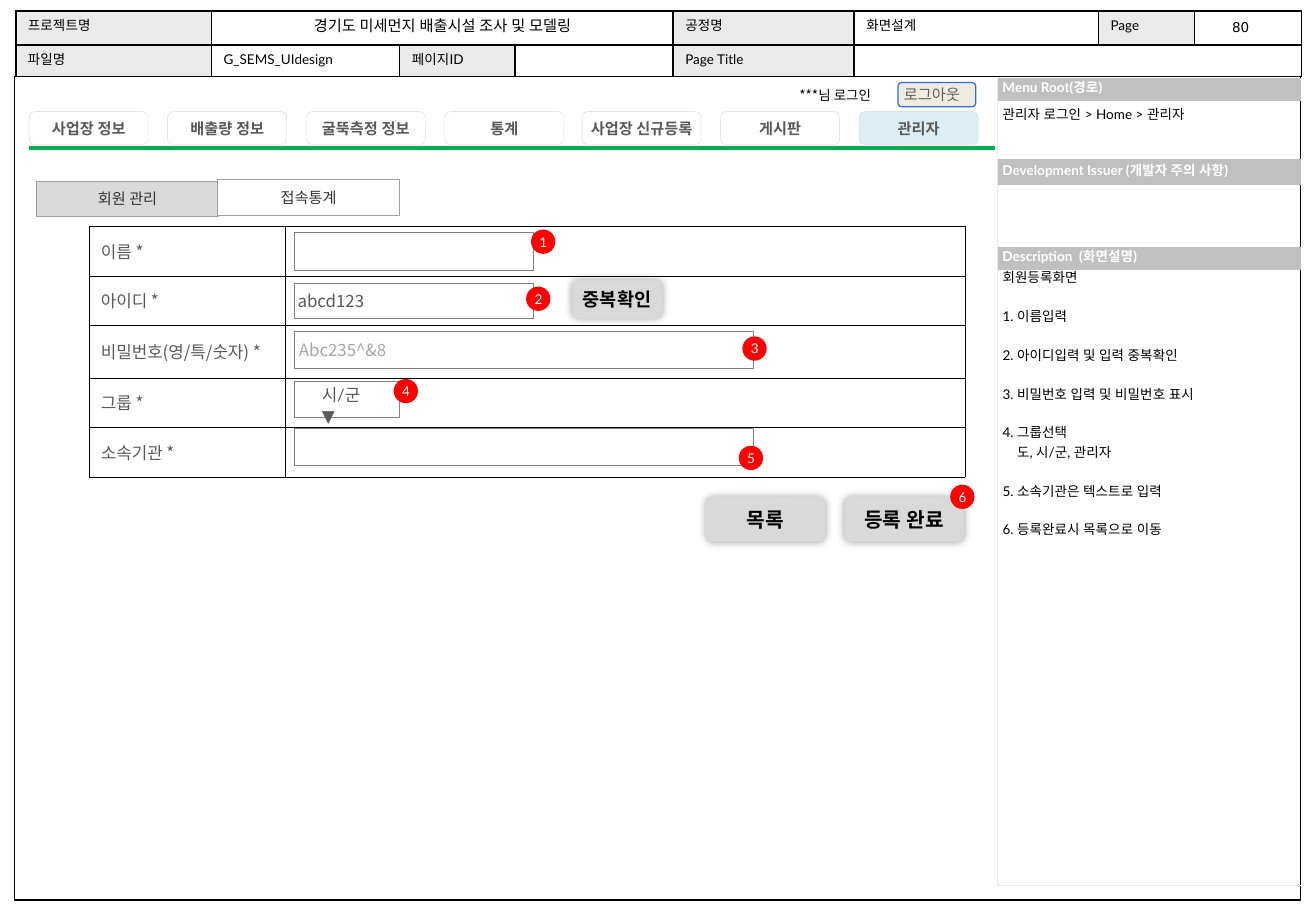
from lxml import etree
from pptx import Presentation
from pptx.dml.color import RGBColor
from pptx.enum.shapes import MSO_CONNECTOR, MSO_SHAPE
from pptx.enum.text import MSO_ANCHOR, PP_ALIGN
from pptx.oxml.ns import qn
from pptx.util import Pt

PX = 9144
RECT, ROUND, OVAL = MSO_SHAPE.RECTANGLE, MSO_SHAPE.ROUNDED_RECTANGLE, MSO_SHAPE.OVAL
LEFT, MID = PP_ALIGN.LEFT, PP_ALIGN.CENTER
TOP, CENTER = MSO_ANCHOR.TOP, MSO_ANCHOR.MIDDLE

BLACK = RGBColor(0x00, 0x00, 0x00)
WHITE = RGBColor(0xFF, 0xFF, 0xFF)
SILVER = RGBColor(0xC0, 0xC0, 0xC0)
LABEL = RGBColor(0xEA, 0xEA, 0xEA)
CREAM = RGBColor(0xEE, 0xEC, 0xE1)
BLUE = RGBColor(0x33, 0x66, 0xFF)
GREEN = RGBColor(0x00, 0xB0, 0x50)
RED = RGBColor(0xFF, 0x00, 0x00)
SKY = RGBColor(0xDB, 0xEE, 0xF4)
PALE = RGBColor(0xD9, 0xD9, 0xD9)
EDGE = RGBColor(0xA0, 0xA0, 0xA0)
GRAY = RGBColor(0x80, 0x80, 0x80)
HINT = RGBColor(0xA6, 0xA6, 0xA6)
DIM = RGBColor(0x5F, 0x5F, 0x5F)
INK = RGBColor(0x59, 0x59, 0x59)
DARK = RGBColor(0x33, 0x33, 0x33)
LATO, NOTO, CABIN, DEJAVU = "Lato", "Noto Sans CJK KR", "Cabin", "DejaVu Sans"
PLAIN = "{2D5ABB26-0587-4C30-8999-92F81FD0307C}"

HEADER = [
    ["프로젝트명", "경기도 미세먼지 배출시설 조사 및 모델링", "", "", "공정명", "화면설계", "Page", ""],
    ["파일명", "G_SEMS_UIdesign", "페이지ID", "", "Page Title", "", "", ""],
]
LABELS = {"프로젝트명", "공정명", "Page", "파일명", "페이지ID", "Page Title"}
SIDE = [["Menu Root(경로)"], [""], ["Development Issuer (개발자 주의 사항)"], [""],
        ["Description  (화면설명)"], [""]]
ROUTE = ["관리자 로그인 > Home > 관리자"]
SUB = "도, 시/군, 관리자"
NOTES = ["회원등록화면", "1. 이름입력", "2. 아이디입력 및 입력 중복확인",
         "3. 비밀번호 입력 및 비밀번호 표시", "4. 그룹선택", SUB,
         "5. 소속기관은 텍스트로 입력", "6. 등록완료시 목록으로 이동"]
TABS = ["사업장 정보", "배출량 정보", "굴뚝측정 정보", "통계", "사업장 신규등록", "게시판", "관리자"]
FORM = [["이름 *", ""], ["아이디 *", "abcd123"], ["비밀번호(영/특/숫자) *", ""],
        ["그룹 *", ""], ["소속기관 *", ""]]
MODES = [("회원 관리", 30, 149, PALE), ("접속통계", 179, 148, WHITE)]
BUTTONS = [("등록 완료", 695, 409, 98, 37, 12), ("중복확인", 471, 231, 74, 31, 11),
           ("목록", 581, 409, 98, 37, 12)]
FIELDS = [(191, 197, 32, ""), (233, 197, 29, ""), (314, 87, 30, ""),
          (273, 378, 30, "Abc235^&8"), (353, 378, 30, "")]
MARKS = [(437, 189), (433, 236), (611, 277), (324, 312), (608, 367), (782, 399)]

deck = Presentation()
deck.slide_width, deck.slide_height = 1083 * PX, 750 * PX
slide = deck.slides.add_slide(deck.slide_layouts[6])
shapes = slide.shapes


def style(para, size, face=LATO, color=BLACK, bold=False, align=LEFT, lead=None):
    para.alignment = align
    if lead:
        para.line_spacing = lead
    for run in para.runs:
        font = run.font
        font.size, font.name, font.bold = Pt(size), face, bold
        font.color.rgb = color
        east = etree.SubElement(font._element, qn("a:ea"))
        east.set("typeface", face)
    if not para.runs:
        para._p.get_or_add_endParaRPr().set("sz", str(size * 100))


def pad(item, side, top):
    item.margin_left = item.margin_right = side * PX
    item.margin_top = item.margin_bottom = top * PX


def box(kind, x, y, w, h, fill=None, line=None, width=0.25, lines="", inset=4, **look):
    item = shapes.add_shape(kind, x * PX, y * PX, w * PX, h * PX)
    item.shadow.inherit = False
    if fill is None:
        item.fill.background()
    else:
        item.fill.solid()
        item.fill.fore_color.rgb = fill
    if line is None:
        item.line.fill.background()
    else:
        item.line.color.rgb = line
        item.line.width = Pt(width)
    if lines:
        frame = item.text_frame
        frame.text, frame.vertical_anchor = lines, CENTER
        pad(frame, inset, inset)
        style(frame.paragraphs[0], **look)
    return item


def note(x, y, w, h, lines, side=4, top=4, wrap=True, **look):
    frame = shapes.add_textbox(x * PX, y * PX, w * PX, h * PX).text_frame
    frame.word_wrap = wrap
    pad(frame, side, top)
    frame.text = "\n".join(lines)
    for para in frame.paragraphs:
        style(para, **look)
    return frame


def glow(item):
    cast = etree.SubElement(item._element.spPr.find(qn("a:effectLst")), qn("a:outerShdw"))
    cast.set("blurRad", str(Pt(5)))
    cast.set("dist", "0")
    tint = etree.SubElement(cast, qn("a:srgbClr"), val=str(BLACK))
    etree.SubElement(tint, qn("a:alpha"), val="36000")


def border(cell, sides, color, width):
    props = cell._tc.get_or_add_tcPr()
    for spot, side in enumerate(sides):
        line = etree.Element(qn("a:ln" + side), w=str(Pt(width)))
        ink = etree.SubElement(line, qn("a:solidFill"))
        etree.SubElement(ink, qn("a:srgbClr"), val=str(color))
        props.insert(spot, line)


def grid(x, y, cols, rows, data):
    frame = shapes.add_table(len(rows), len(cols), x * PX, y * PX, sum(cols) * PX, sum(rows) * PX)
    table = frame.table
    table.first_row = table.horz_banding = False
    table._tbl.tblPr.find(qn("a:tableStyleId")).text = PLAIN
    for col, w in zip(table.columns, cols):
        col.width = w * PX
    for row, h, texts in zip(table.rows, rows, data):
        row.height = h * PX
        for cell, text in zip(row.cells, texts):
            cell.text = text
            cell.fill.background()
    return table


def paint(cell, color):
    cell.fill.solid()
    cell.fill.fore_color.rgb = color


box(RECT, 12, 63, 1058, 678, line=BLACK, width=0.75)

side = grid(821, 64, [250], [19, 48, 21, 51, 19, 507], SIDE)
for cell in side.iter_cells():
    pad(cell, 4, 4)
    cell.vertical_anchor = CENTER
    para = cell.text_frame.paragraphs[0]
    style(para, 8, color=WHITE, bold=True, lead=0.75)
    if cell.text:
        para.space_before = Pt(2)
        paint(cell, SILVER)
    border(cell, "L", CREAM, 0.25)
border(side.cell(5, 0), "LB", CREAM, 0.25)

head = grid(13, 9, [161, 155, 95, 130, 149, 201, 79, 88], [28, 26], HEADER)
for cell in head.iter_cells():
    pad(cell, 10, 5)
    para = cell.text_frame.paragraphs[0]
    title = cell.text == HEADER[0][1]
    style(para, 9 if title else 8, align=MID if title else LEFT)
    para.space_before = Pt(2)
    if cell.text in LABELS:
        paint(cell, LABEL)
    border(cell, "LRTB", BLACK, 1)
head.cell(0, 1).merge(head.cell(0, 3))
head.cell(1, 5).merge(head.cell(1, 7))

note(1010, 5, 27, 25, ["80"], wrap=False, size=8, face=DEJAVU, lead=1.5)
note(648, 67, 83, 24, ["***님 로그인"], 10, 5, wrap=False, size=8, face=NOTO)
box(ROUND, 739, 68, 64, 20, CREAM, BLUE, 0.75, "로그아웃", size=9, face=CABIN, color=DIM)

rule = shapes.add_connector(MSO_CONNECTOR.STRAIGHT, 24 * PX, 122 * PX, 819 * PX, 122 * PX)
rule.line.color.rgb, rule.line.width = GREEN, Pt(2.5)
etree.SubElement(rule._element.spPr, qn("a:effectLst"))

for i, tab in enumerate(TABS):
    box(ROUND, 24 + round(i * 683 / 6), 92, 98, 27, SKY if tab == TABS[-1] else None, PALE,
        lines=tab, size=9, color=INK, bold=True, align=MID)
for text, x, y, fill in MODES:
    box(RECT, x, y, 150, 29, fill, EDGE, 0.5, text, 0, size=9, face=CABIN, color=DARK, align=MID)

note(821, 81, 248, 23, ROUTE, size=8, lead=1.2)
guide = note(821, 215, 248, 249, NOTES, size=8, lead=1.2)
for para in guide.paragraphs[1:]:
    if para.text == SUB:
        para._p.get_or_add_pPr().set("marL", str(12 * PX))
    else:
        para.space_before = Pt(11.5)

form = grid(73, 186, [162, 559], [41, 41, 43, 41, 41], FORM)
for cell in form.iter_cells():
    pad(cell, 10, 1)
    cell.vertical_anchor = CENTER
    style(cell.text_frame.paragraphs[0], 10, NOTO, INK)
    border(cell, "LRTB", BLACK, 0.25)

for text, x, y, w, h, size in BUTTONS:
    glow(box(ROUND, x, y, w, h, PALE, PALE, lines=text, size=size, bold=True, align=MID))
for y, w, h, text in FIELDS:
    box(RECT, 242, y, w, h, None, GRAY, 0.5, text, size=10, face=NOTO, color=HINT)
note(255, 312, 78, 27, ["시/군", "▼"], 10, 5, wrap=False, size=10, color=INK)
for i, (x, y) in enumerate(MARKS, 1):
    box(OVAL, x, y, 20, 20, RED, lines=str(i), size=8, color=WHITE, align=MID)

deck.save("out.pptx")
